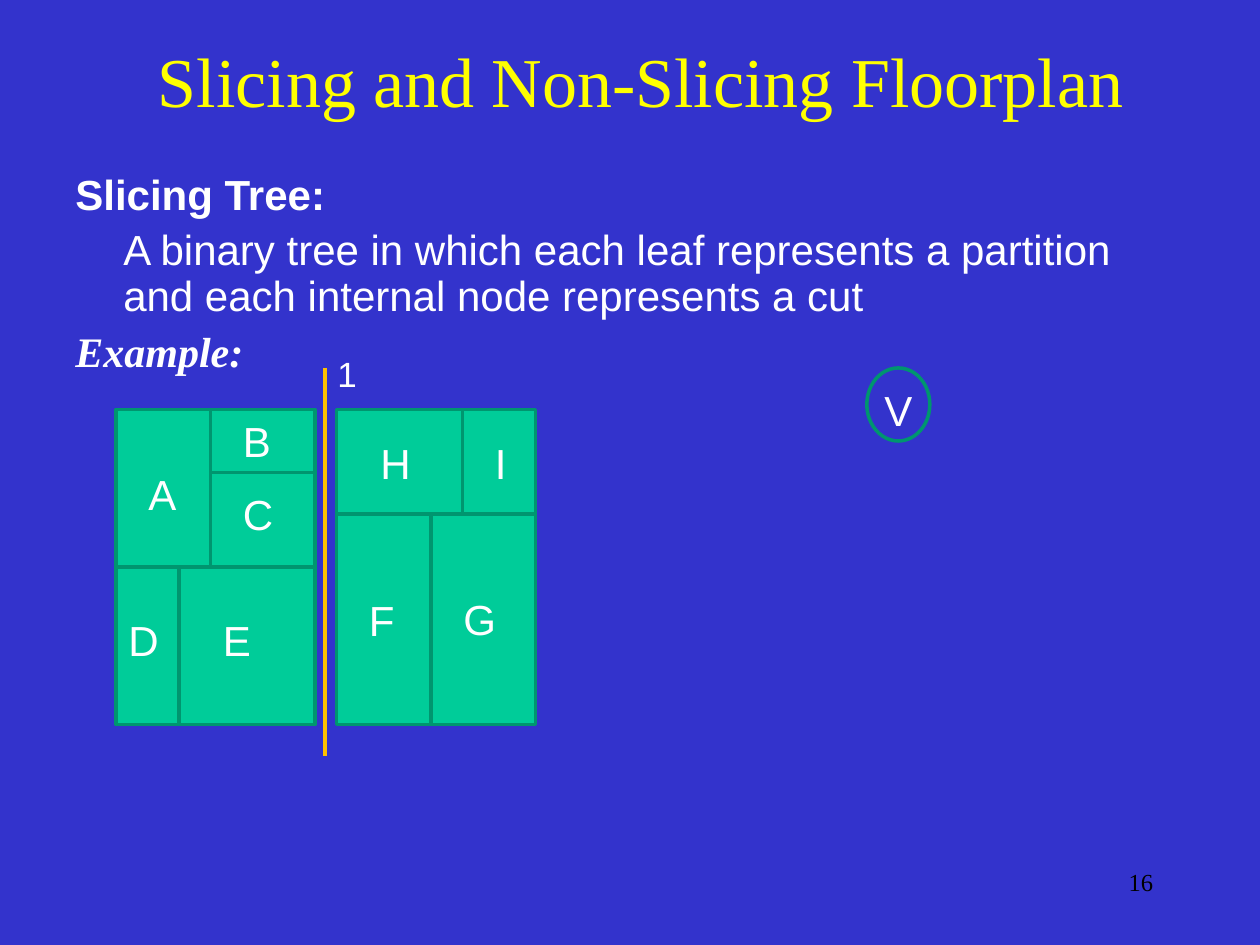
from lxml import etree
from pptx import Presentation
from pptx import util as u
from pptx.dml.color import RGBColor
from pptx.enum import shapes, text
from pptx.oxml.ns import qn

BLUE, YELLOW, WHITE, BLACK = "3333CC", "FFFF00", "FFFFFF", "000000"
GREEN, DARK_GREEN, ORANGE = "00CC99", "00956F", "FFC000"
SANS, SERIF = "Arial", "Times New Roman"

# Each cell: name, left, top, width, height, label left, label top (inside its block).
LEFT_BLOCK = [
    ("A", 0, 0, 0.75, 1.25, 0.16, 0.42),
    ("D", 0, 1.25, 0.5, 1.25, 0, 1.58),
    ("E", 0.5, 1.25, 1.08, 1.25, 0.75, 1.58),
    ("B", 0.75, 0, 0.83, 0.5, 0.91, 0),
    ("C", 0.75, 0.5, 0.83, 0.75, 0.91, 0.58),
]
RIGHT_BLOCK = [
    ("F", 0, 0.83, 0.75, 1.67, 0.16, 1.42),
    ("G", 0.75, 0.83, 0.83, 1.67, 0.91, 1.41),
    ("H", 0, 0, 1, 0.83, 0.25, 0.17),
    ("I", 1, 0, 0.58, 0.83, 1.16, 0.17),
]


def paint(color_format, color):
    """Set a fill or font colour from a hex string."""
    color_format.rgb = RGBColor.from_string(color)


def style(para, size, font, color, bold=False, italic=False):
    """Format every run of a paragraph."""
    for span in para.runs:
        span.font.size = u.Pt(size)
        span.font.name = font
        span.font.bold = bold
        span.font.italic = italic
        paint(span.font.color, color)


def add_text(page, box, wording, size, font=SANS, color=WHITE, align=text.PP_ALIGN.LEFT):
    """Add a wrapped one-paragraph text box and return its frame."""
    frame = page.shapes.add_textbox(*map(u.Inches, box)).text_frame
    frame.word_wrap = True
    frame.text = wording
    frame.paragraphs[0].alignment = align
    style(frame.paragraphs[0], size, font, color)
    return frame


def add_outline(page, kind, box, fill=None):
    """Add a green-edged preset shape, filled only when a colour is given."""
    shape = page.shapes.add_shape(kind, *map(u.Inches, box))
    shape.shadow.inherit = False
    if fill:
        shape.fill.solid()
        paint(shape.fill.fore_color, fill)
    else:
        shape.fill.background()
    paint(shape.line.color, DARK_GREEN)
    shape.line.width = u.Pt(2)


def add_title(page, box):
    """Place the slide title."""
    frame = add_text(page, box, "Slicing and Non-Slicing Floorplan", 40, SERIF, YELLOW,
                     text.PP_ALIGN.CENTER)
    frame.vertical_anchor = text.MSO_ANCHOR.MIDDLE


def add_definition(page, box):
    """Place the definition and the example heading."""
    frame = add_text(page, box, "", 24)
    frame.text = "\n".join([
        "Slicing Tree:",
        "A binary tree in which each leaf represents a partition "
        "and each internal node represents a cut",
        "Example:",
    ])
    heading, definition, example = frame.paragraphs
    for para in frame.paragraphs:
        para.line_spacing = 0.9
        para.space_before = u.Pt(0 if para is heading else 6)
    definition._p.get_or_add_pPr().set("marL", str(u.Inches(0.38)))
    style(heading, 24, SANS, WHITE, bold=True)
    style(definition, 24, SANS, WHITE)
    style(example, 24, SERIF, WHITE, bold=True, italic=True)


def add_floorplan(page, left, top, cells):
    """Draw one block of labelled partitions from its top left corner."""
    for name, x, y, width, height, label_x, label_y in cells:
        add_outline(page, shapes.MSO_SHAPE.RECTANGLE, (left + x, top + y, width, height), GREEN)
        add_text(page, (left + label_x, top + label_y, 0.42, 0.5), name, 24)


def add_cut(page, x, top, bottom):
    """Draw the numbered vertical cut line."""
    cut = page.shapes.add_connector(shapes.MSO_CONNECTOR.STRAIGHT,
                                    *map(u.Inches, (x, top, x, bottom)))
    paint(cut.line.color, ORANGE)
    cut.line.width = u.Pt(2.25)
    etree.SubElement(cut._element.spPr, qn("a:effectLst"))
    add_text(page, (x, top - 0.17, 0.42, 0.44), "1", 20)


def add_tree_root(page, left, top):
    """Draw the root node of the slicing tree."""
    add_text(page, (left + 0.04, top + 0.08, 0.42, 0.5), "V", 24)
    add_outline(page, shapes.MSO_SHAPE.OVAL, (left, top, 0.5, 0.58))


def main():
    """Build and save the slide."""
    deck = Presentation()
    deck.slide_width, deck.slide_height = u.Inches(10), u.Inches(7.5)
    page = deck.slides.add_slide(deck.slide_layouts[6])
    page.background.fill.solid()
    paint(page.background.fill.fore_color, BLUE)
    add_title(page, (1, 0.17, 8.17, 0.92))
    add_definition(page, (0.5, 1.33, 8.75, 1.75))
    add_floorplan(page, 0.92, 3.25, LEFT_BLOCK)
    add_floorplan(page, 2.67, 3.25, RIGHT_BLOCK)
    add_cut(page, 2.58, 2.92, 6)
    add_tree_root(page, 6.88, 2.92)
    add_text(page, (7.17, 6.83, 2.08, 0.5), "16", 14, SERIF, BLACK, text.PP_ALIGN.RIGHT)
    deck.save("out.pptx")


if __name__ == "__main__":
    main()
